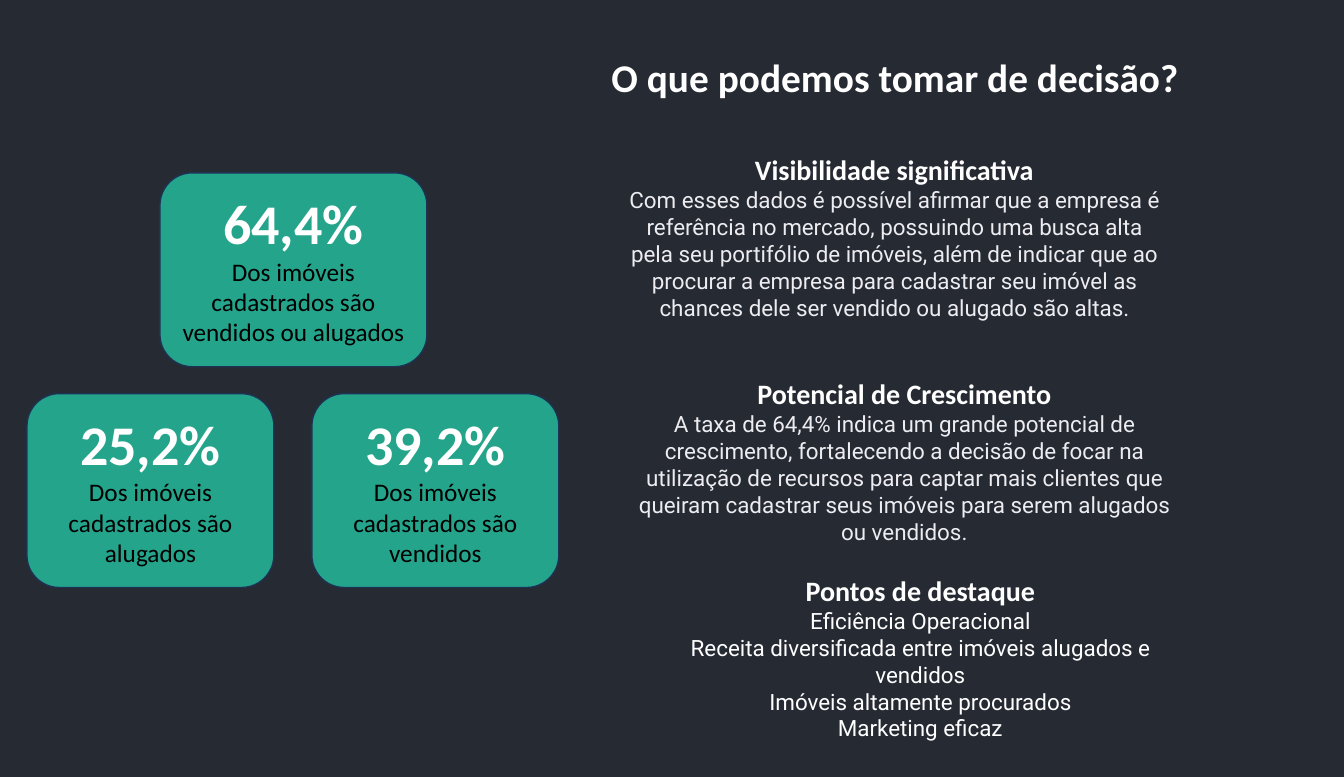
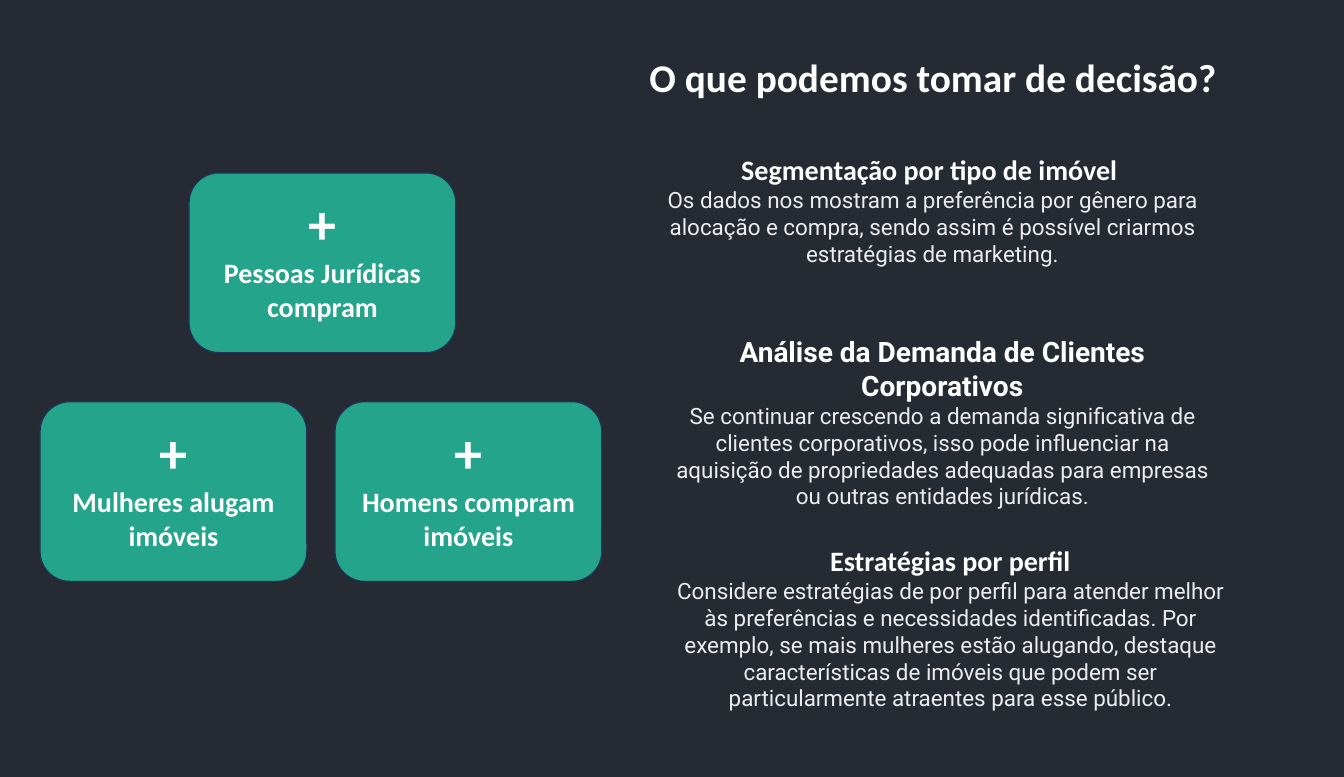
import dataclasses
import pptx
import pptx.dml.color
import pptx.enum.shapes
import pptx.enum.text
import pptx.util

PX = 9407


@dataclasses.dataclass(frozen=True)
class Theme:
    """Colours, fonts and type sizes shared by the slides."""
    background: str = "262A33"
    card: str = "24A48B"
    card_line: str = "1E3256"
    white: str = "FFFFFF"
    body: str = "ECECF1"
    black: str = "000000"
    heading_font: str = "Calibri"
    body_font: str = "Roboto"
    title_size: float = 29.1
    figure_size: float = 41.5
    heading_size: float = 20.8
    caption_size: float = 18.7
    body_size: float = 16.6


@dataclasses.dataclass(frozen=True)
class Style:
    """Look of one paragraph."""
    size: float
    font: str = Theme.heading_font
    color: str = Theme.white
    bold: bool = True


THEME = Theme()
TITLE = Style(THEME.title_size)
FIGURE = Style(THEME.figure_size)
HEADING = Style(THEME.heading_size)
HEADING_ROBOTO = Style(THEME.heading_size, THEME.body_font)
CAPTION = Style(THEME.caption_size, color=THEME.black, bold=False)
BODY = Style(THEME.body_size, THEME.body_font, THEME.body, False)
BODY_WHITE = Style(THEME.body_size, THEME.body_font, bold=False)
CENTER = pptx.enum.text.PP_ALIGN.CENTER
LEFT = pptx.enum.text.PP_ALIGN.LEFT


def rgb(value):
    """Turn a hex string into a colour."""
    return pptx.dml.color.RGBColor.from_string(value)


def emu(*lengths):
    """Turn pixel lengths into EMU."""
    return [pptx.util.Emu(round(length * PX)) for length in lengths]


def add_text(slide, box, lines, align=CENTER):
    """Place a text box of (text, style) paragraphs."""
    frame = slide.shapes.add_textbox(*emu(*box)).text_frame
    frame.word_wrap = True
    frame.auto_size = pptx.enum.text.MSO_AUTO_SIZE.SHAPE_TO_FIT_TEXT
    for index, (text, style) in enumerate(lines):
        paragraph = frame.add_paragraph() if index else frame.paragraphs[0]
        paragraph.text = text
        paragraph.alignment = align
        font = paragraph.font
        font.size = pptx.util.Pt(style.size)
        font.name = style.font
        font.bold = style.bold
        font.color.rgb = rgb(style.color)


def add_card(slide, box, label_height, figure, caption, caption_style):
    """Draw a rounded card with a figure above its caption."""
    left, top, width, height = box
    card = slide.shapes.add_shape(
        pptx.enum.shapes.MSO_SHAPE.ROUNDED_RECTANGLE, *emu(*box))
    card.shadow.inherit = False
    card.fill.solid()
    card.fill.fore_color.rgb = rgb(THEME.card)
    card.line.color.rgb = rgb(THEME.card_line)
    card.line.width = pptx.util.Pt(1)
    label_width = 247
    label = (left + (width - label_width) / 2, top + 11, label_width, label_height)
    add_text(slide, label, [(figure, FIGURE), (caption, caption_style)])


def add_decisions(slide, left, top, sections):
    """Write the title and the sections below it, relative to the column corner."""
    add_text(slide, (left, top, 621, 59),
             [("O que podemos tomar de decisão?", TITLE)], LEFT)
    for (x, y, width, height), lines in sections:
        add_text(slide, (left + x, top + y, width, height), lines)


def add_slide(deck, column_left, cards, label_height, caption_style, sections):
    """Build a slide with cards on the left and decisions on the right."""
    slide = deck.slides.add_slide(deck.slide_layouts[6])
    slide.background.fill.solid()
    slide.background.fill.fore_color.rgb = rgb(THEME.background)
    for box, figure, caption in cards:
        add_card(slide, box, label_height, figure, caption, caption_style)
    add_decisions(slide, column_left, 49, sections)


def main():
    """Build and save the deck."""
    deck = pptx.Presentation()
    deck.slide_width = pptx.util.Inches(13.83)
    deck.slide_height = pptx.util.Inches(8)

    add_slide(deck, 602, [
        ((27, 394, 247, 194), "25,2%", "Dos imóveis cadastrados são alugados"),
        ((312, 394, 247, 194), "39,2%", "Dos imóveis cadastrados são vendidos"),
        ((160, 173, 267, 194), "64,4%", "Dos imóveis cadastrados são vendidos ou alugados"),
    ], 176, CAPTION, [
        ((17, 99, 551, 187), [
            ("Visibilidade significativa", HEADING),
            ("Com esses dados é possível afirmar que a empresa é referência no mercado, "
             "possuindo uma busca alta pela seu portifólio de imóveis, além de indicar que "
             "ao procurar a empresa para cadastrar seu imóvel as chances dele ser vendido "
             "ou alugado são altas.", BODY)]),
        ((27, 323, 551, 153), [
            ("Potencial de Crescimento", HEADING),
            ("A taxa de 64,4% indica um grande potencial de crescimento, fortalecendo a "
             "decisão de focar na utilização de recursos para captar mais clientes que "
             "queiram cadastrar seus imóveis para serem alugados ou vendidos.", BODY)]),
        ((43, 520, 551, 158), [
            ("Pontos de destaque", HEADING),
            ("Eficiência Operacional", BODY_WHITE),
            ("Receita diversificada entre imóveis alugados e vendidos", BODY_WHITE),
            ("Imóveis altamente procurados", BODY_WHITE),
            ("Marketing eficaz", BODY_WHITE)]),
    ])

    add_slide(deck, 640, [
        ((189, 173, 267, 180), "+", "Pessoas Jurídicas compram"),
        ((40, 402, 267, 180), "+", "Mulheres alugam imóveis"),
        ((335, 402, 267, 180), "+", "Homens compram imóveis"),
    ], 151, HEADING, [
        ((17, 99, 551, 130), [
            ("Segmentação por tipo de imóvel ", HEADING),
            ("Os dados nos mostram a preferência por gênero para alocação e compra, sendo "
             "assim é possível criarmos estratégias de marketing.", BODY)]),
        ((27, 281, 551, 153), [
            ("Análise da Demanda de Clientes Corporativos", HEADING_ROBOTO),
            ("Se continuar crescendo a demanda significativa de clientes corporativos, "
             "isso pode influenciar na aquisição de propriedades adequadas para empresas "
             "ou outras entidades jurídicas.", BODY)]),
        ((27, 490, 567, 187), [
            ("Estratégias por perfil", HEADING),
            ("Considere estratégias de por perfil para atender melhor às preferências e "
             "necessidades identificadas. Por exemplo, se mais mulheres estão alugando, "
             "destaque características de imóveis que podem ser particularmente atraentes "
             "para esse público.", BODY)]),
    ])
    deck.save("out.pptx")


if __name__ == "__main__":
    main()
